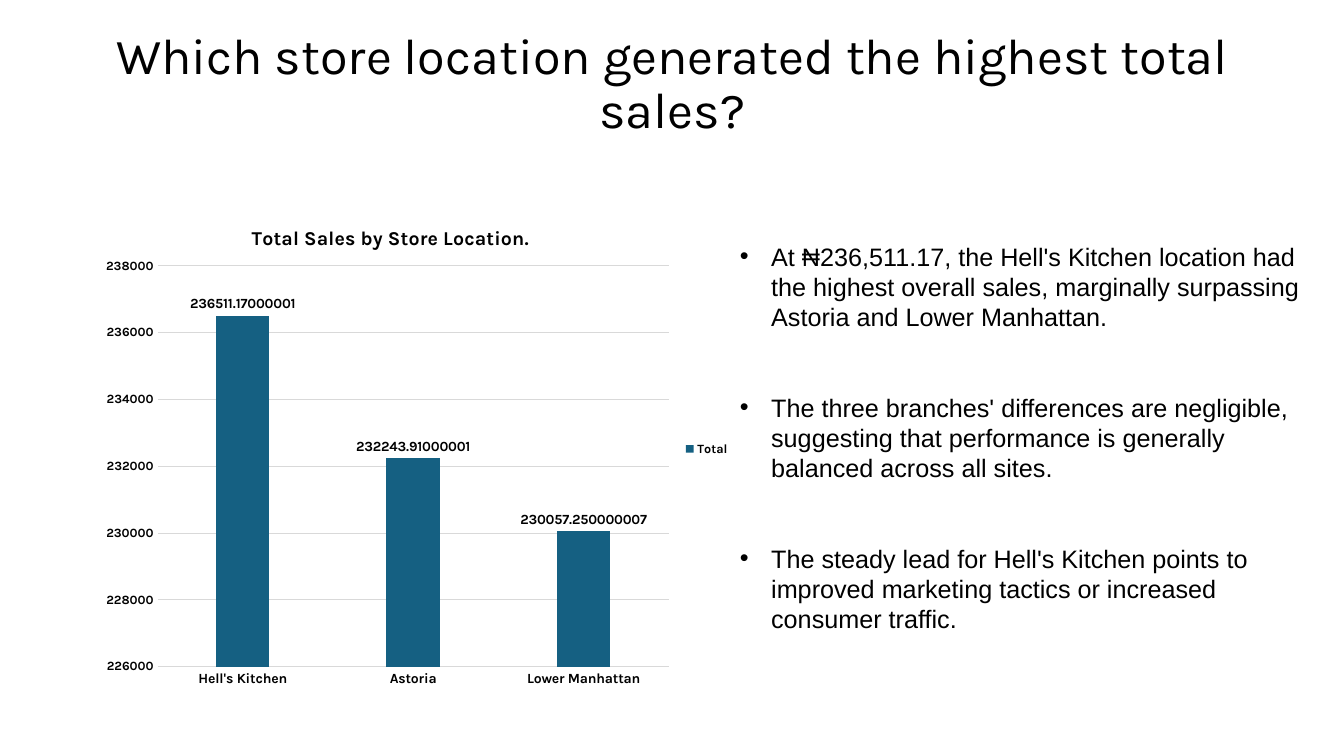
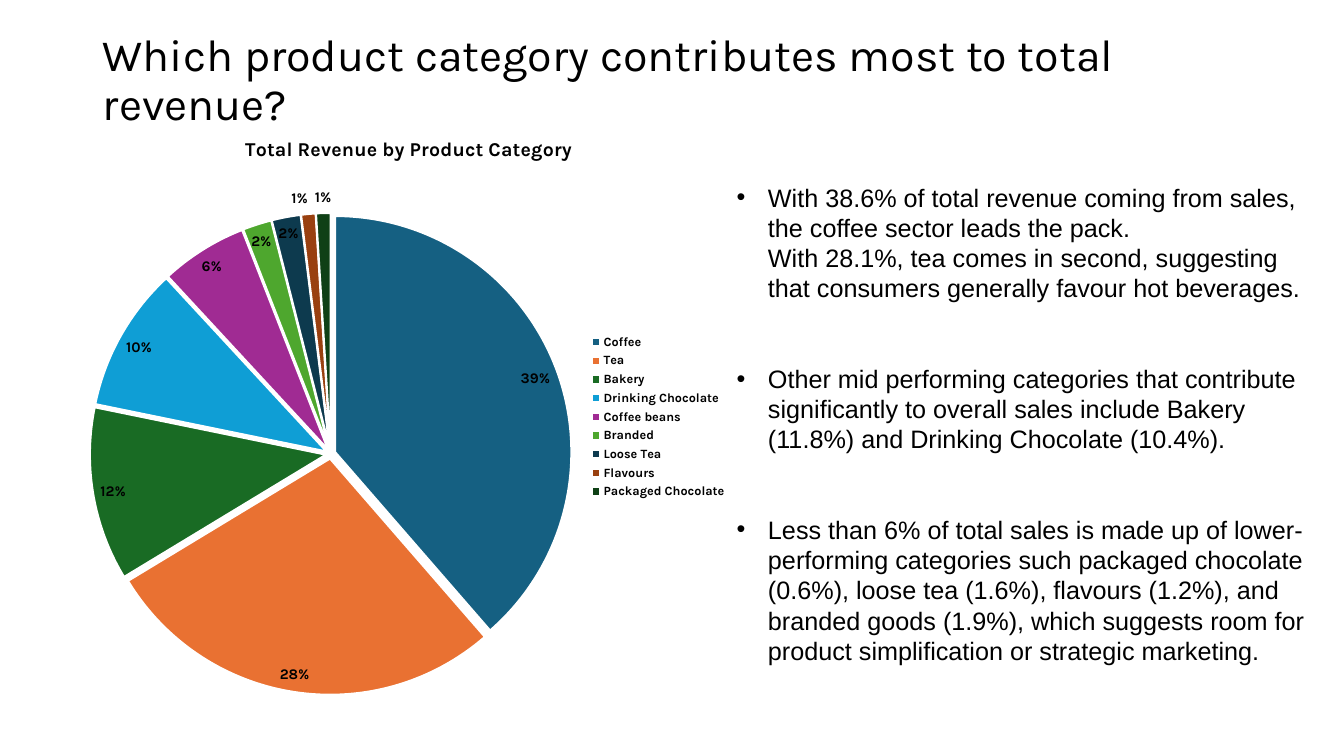
from pptx import Presentation
from pptx.chart.data import CategoryChartData
from pptx.dml.color import RGBColor
from pptx.enum.chart import XL_CHART_TYPE, XL_LABEL_POSITION, XL_LEGEND_POSITION, XL_TICK_MARK
from pptx.enum.text import MSO_ANCHOR, MSO_AUTO_SIZE, PP_ALIGN
from pptx.oxml import parse_xml
from pptx.oxml.ns import nsdecls, qn
from pptx.util import Cm, Pt

HUES = {
    "ink": "000000", "paper": "FFFFFF", "grid": "D9D9D9",
    "blue": "156082", "orange": "E97132", "green": "196B24",
    "sky": "0F9ED5", "plum": "A02B93", "lime": "4EA72E",
    "navy": "0D3A4E", "rust": "994010", "pine": "0F4016",
}
HEAD, TEXT = "Karla", "Arial"


def hue(name):
    """Return the named colour."""
    return RGBColor.from_string(HUES[name])


def style(font, size, bold=False, face=HEAD):
    """Format one font in the shared ink."""
    font.name, font.size, font.bold = face, Pt(size), bold
    font.color.rgb = hue("ink")


def place(shape, box):
    """Move a shape to a box given in centimetres."""
    shape.left, shape.top, shape.width, shape.height = map(Cm, box)
    frame = shape.text_frame
    frame.auto_size = MSO_AUTO_SIZE.NONE
    frame.word_wrap = True
    frame.vertical_anchor = MSO_ANCHOR.MIDDLE
    return frame


def head(slide, box, text, size, align):
    """Fill the title placeholder."""
    frame = place(slide.shapes.title, box)
    frame.text = text
    para = frame.paragraphs[0]
    para.alignment, para.line_spacing = align, 0.9
    style(para.runs[0].font, size)


def points(slide, box, items):
    """Fill the body placeholder with a spaced bullet list."""
    frame = place(slide.placeholders[1], box)
    frame.text = "\n".join(items)
    for para in frame.paragraphs:
        para.line_spacing, para.space_before = Pt(21.6), Pt(0)
        para.space_after = Pt(43)
        props = para._p.get_or_add_pPr()
        props.set("marL", str(Cm(0.79)))
        props.set("indent", str(-Cm(0.79)))
        for run in para.runs:
            style(run.font, 18, face=TEXT)
    frame.paragraphs[-1].space_after = Pt(0)


def pin(node, index, inner=False, **spots):
    """Give a chart part a fixed layout in fractions of the chart."""
    for old in node.findall(qn("c:layout")):
        node.remove(old)
    tags = '<c:layoutTarget val="inner"/>' if inner else ""
    tags += "".join(f'<c:{key}Mode val="edge"/>' for key in "xy")
    tags += "".join(f'<c:{key} val="{val}"/>' for key, val in spots.items())
    node.insert(index, parse_xml(
        f'<c:layout {nsdecls("c")}><c:manualLayout>{tags}</c:manualLayout></c:layout>'))


def graph(slide, box, kind, title, name, data, spot, area):
    """Add a chart with the shared title, legend and label style."""
    feed = CategoryChartData()
    feed.categories = list(data)
    feed.add_series(name, list(data.values()))
    chart = slide.shapes.add_chart(kind, *map(Cm, box), feed).chart
    style(chart.font, 10)
    chart.has_title = True
    label = chart.chart_title
    label.text_frame.text = title
    style(label.text_frame.paragraphs[0].runs[0].font, 14, True)
    label.include_in_layout = False
    pin(label.element, 1, x=spot[0], y=spot[1])
    pin(chart.element.find(".//" + qn("c:plotArea")), 0, True, **dict(zip("xywh", area)))
    chart.has_legend = True
    chart.legend.position = XL_LEGEND_POSITION.RIGHT
    chart.legend.include_in_layout = False
    style(chart.legend.font, 9, True)
    chart.plots[0].has_data_labels = True
    return chart


def bars(slide, box, title, data):
    """Draw the column chart of sales."""
    chart = graph(slide, box, XL_CHART_TYPE.COLUMN_CLUSTERED, title, "Total", data,
                  (0.24, 0.04), (0.1, 0.13, 0.79, 0.81))
    plot = chart.plots[0]
    plot.gap_width, plot.overlap, plot.vary_by_categories = 219, -27, False
    fill = plot.series[0].format.fill
    fill.solid()
    fill.fore_color.rgb = hue("blue")
    tags = plot.data_labels
    tags.show_value, tags.position = True, XL_LABEL_POSITION.OUTSIDE_END
    style(tags.font, 10, True)
    cats, vals = chart.category_axis, chart.value_axis
    for axis, size in ((cats, 10), (vals, 9)):
        axis.major_tick_mark = axis.minor_tick_mark = XL_TICK_MARK.NONE
        style(axis.tick_labels.font, size, True)
    vals.minimum_scale, vals.maximum_scale, vals.major_unit = 226000, 238000, 2000
    vals.format.line.fill.background()
    for line in (cats.format.line, vals.major_gridlines.format.line):
        line.color.rgb, line.width = hue("grid"), Pt(0.75)


def pie(slide, box, title, data, tints):
    """Draw the exploded pie of revenue shares."""
    chart = graph(slide, box, XL_CHART_TYPE.PIE, title, "Series 1", data,
                  (0.25, 0.04), (0.02, 0.17, 0.73, 0.78))
    plot = chart.plots[0]
    plot.vary_by_categories = True
    for num, tint in enumerate(tints):
        form = plot.series[0].points[num].format
        form.fill.solid()
        form.fill.fore_color.rgb = hue(tint)
        form.line.color.rgb, form.line.width = hue("paper"), Pt(1.5)
    name = chart.element.find(".//" + qn("c:ser")).find(qn("c:tx"))
    name.addnext(parse_xml(f'<c:explosion {nsdecls("c")} val="2"/>'))
    tags = plot.data_labels
    tags.show_percentage, tags.show_value = True, False
    tags.number_format, tags.number_format_is_linked = "0%", False
    tags.position = XL_LABEL_POSITION.BEST_FIT
    style(tags.font, 10.5, True)


def stores(slide):
    """Build the slide on store locations."""
    head(slide, (2.34, 1.02, 29.21, 2.24),
         "Which store location generated the highest total sales?", 36, PP_ALIGN.CENTER)
    bars(slide, (2.34, 5.08, 16.31, 12.47), "Total Sales by Store Location.", {
        "Hell's Kitchen": 236511.17000001,
        "Astoria": 232243.91000001,
        "Lower Manhattan": 230057.250000007,
    })
    points(slide, (18.39, 5.89, 15.48, 10.26), [
        "At ₦236,511.17, the Hell's Kitchen location had the highest overall sales, "
        "marginally surpassing Astoria and Lower Manhattan.",
        "The three branches' differences are negligible, suggesting that performance "
        "is generally balanced across all sites.",
        "The steady lead for Hell's Kitchen points to improved marketing tactics or "
        "increased consumer traffic.",
    ])


def goods(slide):
    """Build the slide on product categories."""
    head(slide, (2.34, 1.02, 29.21, 2.06),
         "Which product category contributes most to total revenue?", 32, PP_ALIGN.LEFT)
    pie(slide, (1.93, 2.72, 16.64, 15.57), "Total Revenue by Product Category", {
        "Coffee": 39, "Tea": 28, "Bakery": 12, "Drinking Chocolate": 10,
        "Coffee beans": 6, "Branded": 2, "Loose Tea": 2, "Flavours": 1,
        "Packaged Chocolate": 1,
    }, ("blue", "orange", "green", "sky", "plum", "lime", "navy", "rust", "pine"))
    points(slide, (18.31, 4.39, 15.01, 12.57), [
        "With 38.6% of total revenue coming from sales, the coffee sector leads the pack.\v"
        "With 28.1%, tea comes in second, suggesting that consumers generally favour "
        "hot beverages.",
        "Other mid performing categories that contribute significantly to overall sales "
        "include Bakery (11.8%) and Drinking Chocolate (10.4%).",
        "Less than 6% of total sales is made up of lower-performing categories such "
        "packaged chocolate (0.6%), loose tea (1.6%), flavours (1.2%), and branded goods "
        "(1.9%), which suggests room for product simplification or strategic marketing.",
    ])


def main():
    """Build and save the deck."""
    deck = Presentation()
    deck.slide_width, deck.slide_height = Cm(33.87), Cm(19.05)
    for build in (stores, goods):
        build(deck.slides.add_slide(deck.slide_layouts[1]))
    deck.save("out.pptx")


if __name__ == "__main__":
    main()
